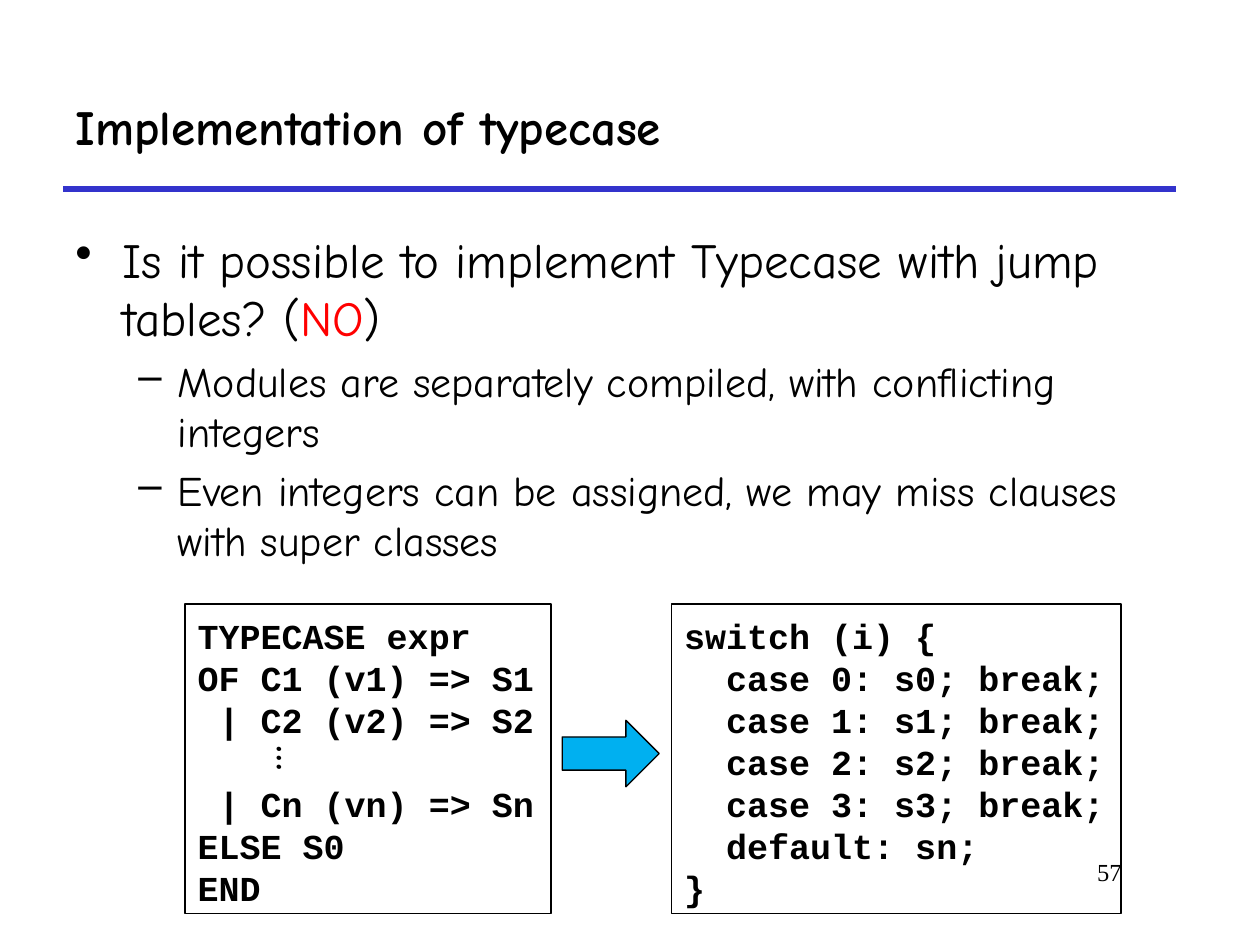
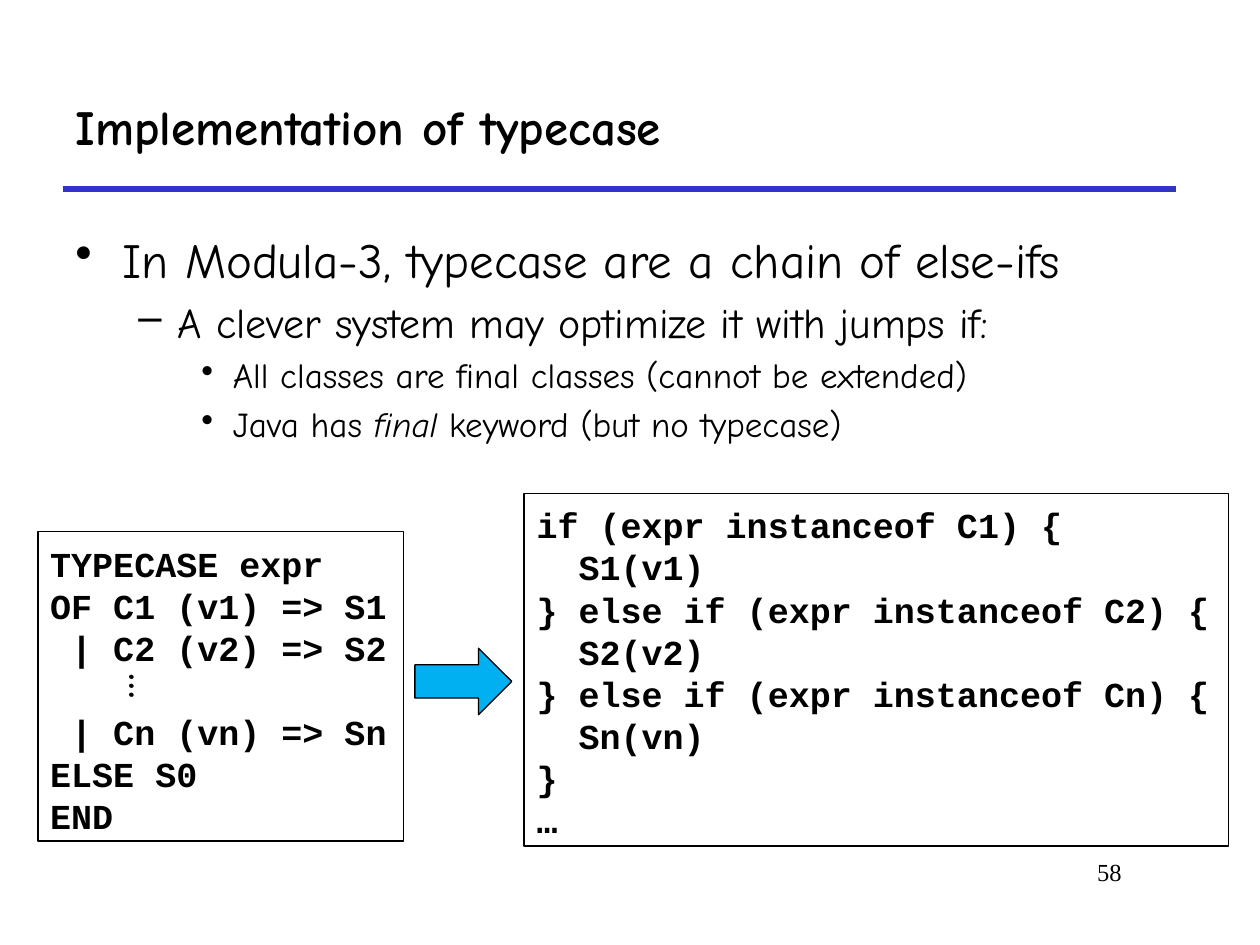
"""Build two slides on how typecase is implemented."""
import pptx
import pptx.util
import pptx.dml.color
import pptx.enum.shapes
import pptx.enum.text
import pptx.oxml.ns
import lxml.etree

Pt = pptx.util.Pt
RGB = pptx.dml.color.RGBColor
SHAPE = pptx.enum.shapes.MSO_SHAPE
ALIGN = pptx.enum.text.PP_ALIGN
ANCHOR = pptx.enum.text.MSO_ANCHOR

BLACK = RGB(0x00, 0x00, 0x00)
RED = RGB(0xFF, 0x00, 0x00)
BLUE = RGB(0x33, 0x33, 0xCC)
SKY = RGB(0x00, 0xB0, 0xF0)
HAND, MONO, SERIF = "Comic Neue", "Courier New", "Times New Roman"

LEVELS = [("•", 27, 27, 28), ("–", 58.5, 22.5, 24), ("•", 90, 18, 20)]
TITLE = "Implementation of typecase"
CASES = ["TYPECASE expr", "OF C1 (v1) => S1", " | C2 (v2) => S2"]
REST = [" | Cn (vn) => Sn", "ELSE S0", "END"]
SWITCH = ["switch (i) {",
          *[f"  case {n}: s{n}; break;" for n in range(4)],
          "  default: sn;", "}"]
CHAIN = ["if (expr instanceof C1) {", "  S1(v1)",
         "} else if (expr instanceof C2) {", "  S2(v2)",
         "} else if (expr instanceof Cn) {", "  Sn(vn)", "}", "…"]


def write(para, text, size=20, face=HAND, color=BLACK, bold=False, italic=False):
    """Add one formatted run to a paragraph."""
    run = para.add_run()
    run.text = text
    font = run.font
    font.size, font.name, font.bold, font.italic = Pt(size), face, bold, italic
    font.color.rgb = color


def child(parent, tag, **attrs):
    """Append a drawing element to an XML parent."""
    name = pptx.oxml.ns.qn(tag)
    return lxml.etree.SubElement(parent, name, **attrs)


def lines(frame, count):
    """Return the given number of paragraphs of a text frame."""
    return [frame.paragraphs[0]] + [frame.add_paragraph() for _ in range(count - 1)]


class Deck:
    """Hold the shared style and the current slide."""

    def __init__(self):
        """Start an empty deck."""
        self.file = pptx.Presentation()
        self.file.slide_width, self.file.slide_height = Pt(720), Pt(540)
        self.slide = None

    def page(self, title, number):
        """Add a slide with its title, rule and number."""
        self.slide = self.file.slides.add_slide(self.file.slide_layouts[5])
        self.rule()
        head = self.slide.shapes.title
        head.left, head.top, head.width, head.height = Pt(36), Pt(36), Pt(636), Pt(72)
        head.text_frame.vertical_anchor = ANCHOR.MIDDLE
        para = head.text_frame.paragraphs[0]
        para.alignment = ALIGN.LEFT
        write(para, title, size=28, bold=True)
        para = self.box(546, 486, 102, 36).text_frame.paragraphs[0]
        para.alignment = ALIGN.RIGHT
        write(para, str(number), size=14, face=SERIF)

    def rule(self):
        """Draw the line below the title."""
        line = self.slide.shapes.add_connector(
            pptx.enum.shapes.MSO_CONNECTOR.STRAIGHT, Pt(36), Pt(108), Pt(672), Pt(108))
        line.line.color.rgb = BLUE
        line.line.width = Pt(3)
        child(line._element.spPr, "a:effectLst")

    def box(self, left, top, width, height):
        """Add a wrapping text box."""
        box = self.slide.shapes.add_textbox(Pt(left), Pt(top), Pt(width), Pt(height))
        box.text_frame.word_wrap = True
        return box

    def shape(self, kind, left, top, width, height, fill=None, line=1):
        """Add an outlined shape, filled if a colour is given."""
        shape = self.slide.shapes.add_shape(
            kind, Pt(left), Pt(top), Pt(width), Pt(height))
        shape.shadow.inherit = False
        if fill is None:
            shape.fill.background()
        else:
            shape.fill.solid()
            shape.fill.fore_color.rgb = fill
        shape.line.color.rgb = BLACK
        shape.line.width = Pt(line)
        return shape

    def points(self, items):
        """Add the bullet list; an item is a level and its runs."""
        frame = self.box(36, 126, 654, 348).text_frame
        frame.margin_top = Pt(5)
        for place, (para, (level, runs)) in enumerate(zip(lines(frame, len(items)), items)):
            mark, left, hang, size = LEVELS[level]
            para.level = level
            props = para._p.get_or_add_pPr()
            props.set("marL", str(Pt(left)))
            props.set("indent", str(-Pt(hang)))
            child(props, "a:buChar", char=mark)
            para.line_spacing = Pt(size * 1.2)
            para.space_before = Pt(size * 0.2 if place else 0)
            for text, style in runs:
                write(para, text, size=size, **style)

    def code(self, left, top, width, height, rows, gap=None):
        """Add a framed listing, with one line left free before row gap."""
        frame = self.shape(SHAPE.RECTANGLE, left, top, width, height).text_frame
        frame.word_wrap = True
        frame.vertical_anchor = ANCHOR.TOP
        frame.margin_top = Pt(6)
        for place, (para, row) in enumerate(zip(lines(frame, len(rows)), rows)):
            para.alignment = ALIGN.LEFT
            para.line_spacing = Pt(24)
            para.space_before = Pt(24 if place == gap else 0)
            write(para, row, face=MONO, bold=True)

    def source(self, left, top):
        """Add the typecase listing, its upright dots and the arrow."""
        self.code(left, top, 209, 177, CASES + REST, gap=len(CASES))
        dots = self.box(left + 46.2, top + 71.8, 29.5, 33.8)
        dots.rotation = 90
        write(dots.text_frame.paragraphs[0], "…", size=22, bold=True)
        self.shape(SHAPE.RIGHT_ARROW, left + 215.5, top + 66.6, 55.4, 38,
                   fill=SKY, line=0.75)


def main():
    """Build and save the deck."""
    deck = Deck()
    deck.page(TITLE, 57)
    deck.points([
        (0, [("Is it possible to implement Typecase with jump tables? (", {}),
             ("NO", {"color": RED}), (")", {})]),
        (1, [("Modules are separately compiled, with conflicting integers", {})]),
        (1, [("Even integers can be assigned, we may miss clauses with super classes", {})]),
    ])
    deck.source(105.8, 345)
    deck.code(383.8, 345, 257, 177, SWITCH)

    deck.page(TITLE, 58)
    deck.points([
        (0, [("In Modula-3, typecase are a chain of else-ifs", {})]),
        (1, [("A clever system may optimize it with jumps if:", {})]),
        (2, [("All classes are final classes (cannot be extended)", {})]),
        (2, [("Java has ", {}), ("final", {"italic": True}),
             (" keyword (but no typecase)", {})]),
    ])
    deck.source(21.6, 303.8)
    deck.code(299.5, 282, 402.5, 201.5, CHAIN)
    deck.file.save("out.pptx")


if __name__ == "__main__":
    main()
